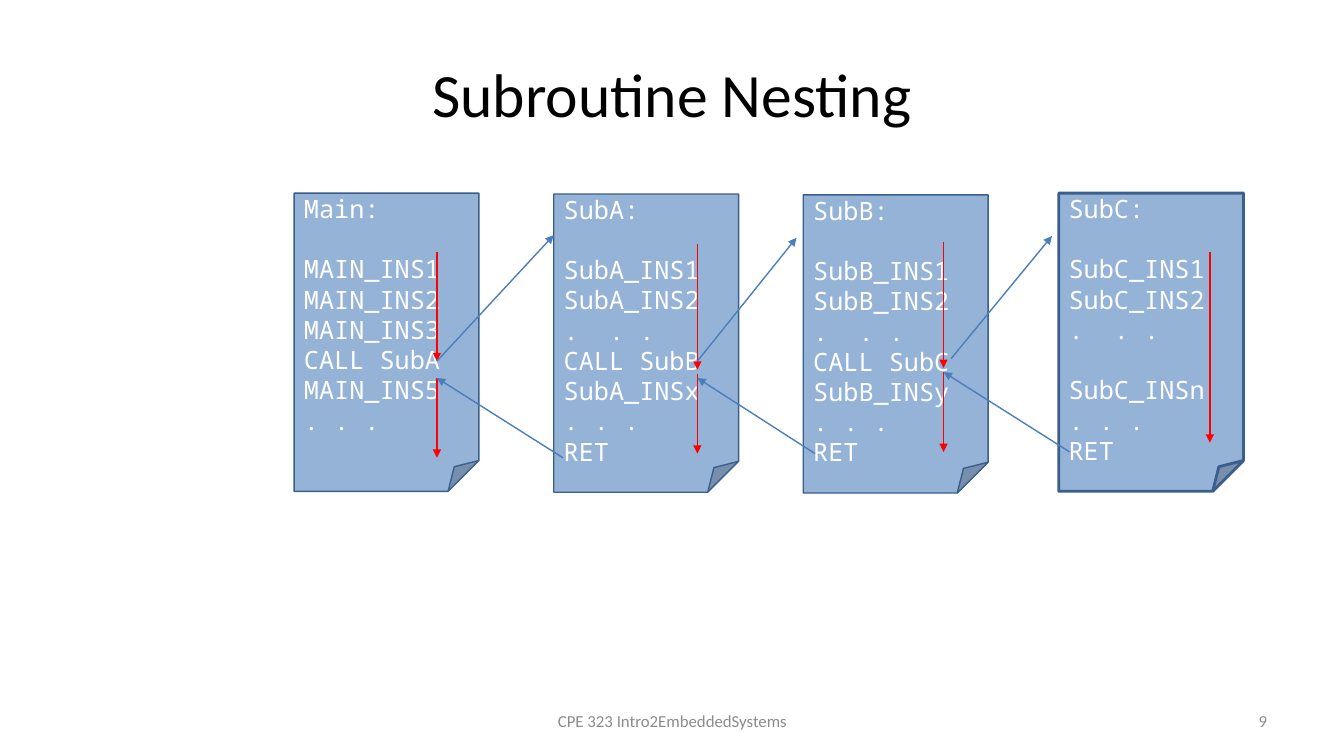
"""Build the Subroutine Nesting slide: four code cards joined by call and return arrows."""
from dataclasses import dataclass

from lxml.etree import SubElement
from pptx import Presentation
from pptx.dml.color import RGBColor
from pptx.enum.shapes import MSO_CONNECTOR, MSO_SHAPE
from pptx.enum.text import MSO_ANCHOR, PP_ALIGN
from pptx.oxml.ns import qn
from pptx.util import Inches, Pt


@dataclass(frozen=True)
class Theme:
    sans: str = "Calibri"
    mono: str = "Noto Sans Mono"
    title: str = "000000"
    muted: str = "8C8C8C"
    code: str = "FFFFFF"
    card: str = "95B3D7"
    border: str = "3A5F8C"
    run: str = "FF0000"
    jump: str = "4B7EBC"
    title_size: int = 44
    footer_size: int = 12
    code_size: int = 18
    code_line: float = 21.6


T = Theme()
UNIT = 1 / 12
CARD_W, CARD_H = 22, 35.5

LABELS = [
    ("Subroutine Nesting", (8, 3.6, 144, 15), PP_ALIGN.CENTER, T.title_size, T.title),
    ("CPE 323 Intro2EmbeddedSystems", (54.7, 83.4, 50.7, 4.8), PP_ALIGN.CENTER, T.footer_size, T.muted),
    ("9", (114.7, 83.4, 37.3, 4.8), PP_ALIGN.RIGHT, T.footer_size, T.muted),
]
CARDS = [
    (35, 23, 1, ["Main:", "", "MAIN_INS1", "MAIN_INS2", "MAIN_INS3", "CALL SubA", "MAIN_INS5", ". . ."]),
    (65.9, 23.1, 1, ["SubA:", "", "SubA_INS1", "SubA_INS2", ".  . .", "CALL SubB", "SubA_INSx", ". . .", "RET"]),
    (95.6, 23.2, 1, ["SubB:", "", "SubB_INS1", "SubB_INS2", ".  . .", "CALL SubC", "SubB_INSy", ". . .", "RET"]),
    (126, 23, 2, ["SubC:", "", "SubC_INS1", "SubC_INS2", ".  . .", "", "SubC_INSn", ". . .", "RET"]),
]
RUNS = [
    (52, [(30, 43), (45, 54.5)]),
    (83, [(29, 44), (44.5, 54)]),
    (112.3, [(28.8, 43.8), (44.3, 53.8)]),
    (144, [(30, 52.7)]),
]
CALLS = [((52, 43), (65.9, 28)), ((83, 43), (94.8, 28.3)), ((113.2, 42.7), (125.2, 28.1))]
RETURNS = [((67, 54.5), (52, 45)), ((97, 54), (83, 45)), ((127.3, 53.8), (112.3, 44.3))]


def grid(*cells):
    return [Inches(c * UNIT) for c in cells]


def set_all(obj, values):
    for name, value in values.items():
        setattr(obj, name, value)


def write(p, text, font, size, color):
    r = p.add_run()
    r.text = text
    set_all(r.font, {"name": font, "size": Pt(size)})
    r.font.color.rgb = RGBColor.from_string(color)


def add_label(s, text, box, align, size, color):
    tf = s.shapes.add_textbox(*grid(*box)).text_frame
    set_all(tf, {"word_wrap": True, "vertical_anchor": MSO_ANCHOR.MIDDLE})
    p = tf.paragraphs[0]
    p.alignment = align
    write(p, text, T.sans, size, color)


def add_card(s, left, top, border, lines):
    sp = s.shapes.add_shape(MSO_SHAPE.FOLDED_CORNER, *grid(left, top, CARD_W, CARD_H))
    sp.shadow.inherit = False
    sp.fill.solid()
    sp.fill.fore_color.rgb = RGBColor.from_string(T.card)
    sp.line.color.rgb = RGBColor.from_string(T.border)
    sp.line.width = Pt(border)
    tf = sp.text_frame
    set_all(tf, {"word_wrap": True, "vertical_anchor": MSO_ANCHOR.TOP, "margin_top": 0, "margin_bottom": 0})
    for i, line in enumerate(lines):
        if not line:
            continue
        p = tf.add_paragraph() if i else tf.paragraphs[0]
        p.alignment = PP_ALIGN.LEFT
        if i and not lines[i - 1]:
            p.space_before = Pt(T.code_line)
        write(p, line, T.mono, T.code_size, T.code)


def add_arrow(s, start, end, color):
    c = s.shapes.add_connector(MSO_CONNECTOR.STRAIGHT, *grid(*start, *end))
    c.line.color.rgb = RGBColor.from_string(color)
    c.line.width = Pt(1)
    SubElement(c.line._get_or_add_ln(), qn("a:tailEnd"), type="triangle")
    SubElement(c._element.spPr, qn("a:effectLst"))


def main():
    prs = Presentation()
    set_all(prs, {"slide_width": Inches(13.33), "slide_height": Inches(7.5)})
    s = prs.slides.add_slide(prs.slide_layouts[6])
    for label in LABELS:
        add_label(s, *label)
    for card in CARDS:
        add_card(s, *card)
    for x, spans in RUNS:
        for top, bottom in spans:
            add_arrow(s, (x, top), (x, bottom), T.run)
    for start, end in CALLS + RETURNS:
        add_arrow(s, start, end, T.jump)
    prs.save("out.pptx")


if __name__ == "__main__":
    main()
